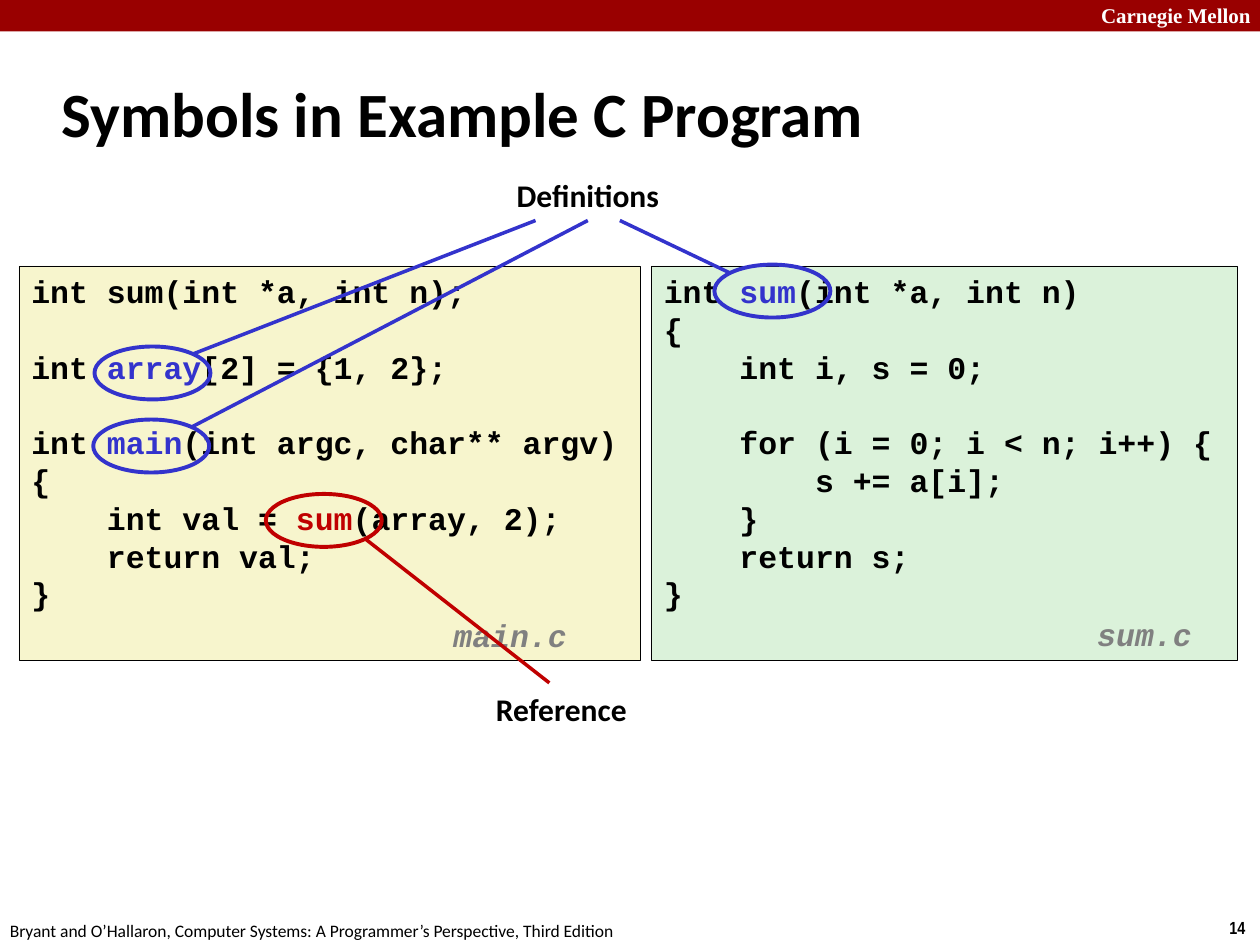
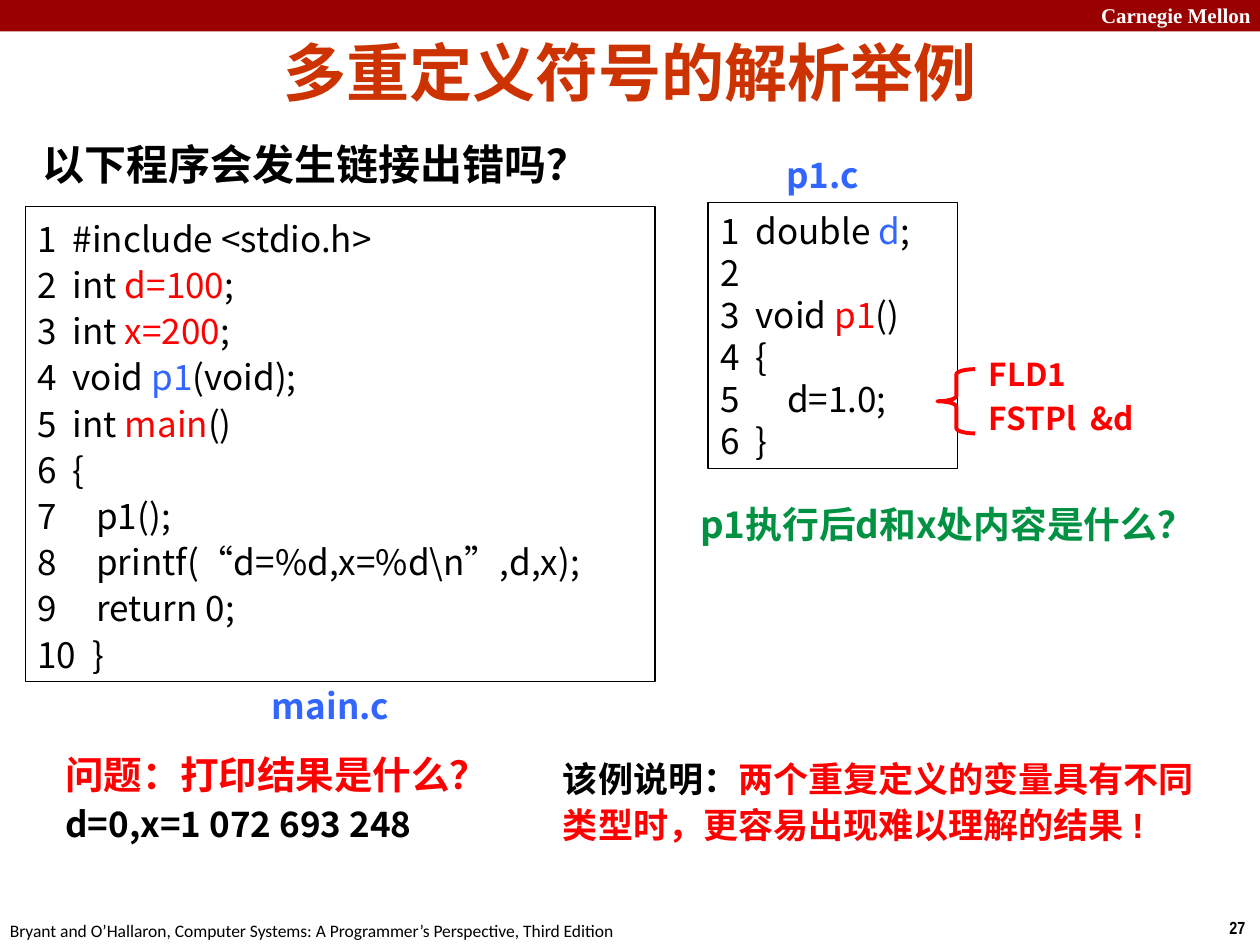
from dataclasses import dataclass, replace
from typing import NamedTuple

import pptx
import pptx.dml.color
import pptx.enum.shapes
import pptx.enum.text
import pptx.oxml
import pptx.oxml.ns
import pptx.oxml.xmlchemy
import pptx.util

SLIDE_WIDTH = pptx.util.Inches(10)
SLIDE_HEIGHT = pptx.util.Inches(7.5)
COLUMNS, ROWS = 100, 75
COLUMN, ROW = SLIDE_WIDTH / COLUMNS, SLIDE_HEIGHT / ROWS
LEADING = 1.2
CJK_FONT = "Noto Sans CJK SC"
COLORS = {
    "black": "000000", "white": "FFFFFF", "band": "990000",
    "definition": "3333CC", "reference": "C00000", "file": "808080",
    "cream": "F7F5CD", "mint": "DBF2DA",
    "title": "CC3300", "blue": "3366FF", "red": "FF0000", "green": "009242",
}
ALIGN = pptx.enum.text.PP_ALIGN
ANCHOR = pptx.enum.text.MSO_ANCHOR
SHAPE = pptx.enum.shapes.MSO_SHAPE


class Area(NamedTuple):
    """Left, top, width and height in grid columns and rows."""
    left: float
    top: float
    width: float
    height: float

    def lengths(self) -> tuple[int, ...]:
        steps = (COLUMN, ROW, COLUMN, ROW)
        return tuple(round(value * step) for value, step in zip(self, steps))


class Span(NamedTuple):
    text: str
    color: str = ""


@dataclass(frozen=True)
class Style:
    size: float
    font: str
    color: str = "black"
    bold: bool = True
    italic: bool = False
    align: ALIGN = ALIGN.LEFT
    anchor: ANCHOR = ANCHOR.TOP
    spacing: float = 1
    before: float = 0
    wrap: bool = True


class Label(NamedTuple):
    area: Area
    lines: list
    style: Style


class Frame(NamedTuple):
    """A box of code with a thin outline."""
    area: Area
    lines: list
    style: Style
    fill: str
    outline: float


TITLE = Style(36, "Calibri", anchor=ANCHOR.MIDDLE)
CHINESE_TITLE = replace(TITLE, font="Arial", color="title", align=ALIGN.CENTER)
CODE = Style(18, "Courier New")
FILE_NAME = replace(CODE, color="file", italic=True, spacing=0.94)
CALLOUT = Style(18, "Calibri", align=ALIGN.CENTER, wrap=False)
LISTING = Style(20, CJK_FONT, bold=False, anchor=ANCHOR.MIDDLE)
LISTING_NAME = Style(20, CJK_FONT, "blue")
CHINESE = Style(20, "Arial")


def rgb(name: str) -> pptx.dml.color.RGBColor:
    return pptx.dml.color.RGBColor.from_string(COLORS[name])


def write(text_frame, lines: list, style: Style) -> None:
    """Fill a text frame; each line is a string or a list of spans."""
    text_frame.auto_size = pptx.enum.text.MSO_AUTO_SIZE.NONE
    text_frame.word_wrap = style.wrap
    text_frame.vertical_anchor = style.anchor
    for index, line in enumerate(lines):
        para = text_frame.add_paragraph() if index else text_frame.paragraphs[0]
        spans = [Span(line)] if isinstance(line, str) else line
        para.text = spans[0].text
        for span in spans[1:]:
            para.add_run().text = span.text
        para.alignment = style.align
        para.line_spacing = pptx.util.Pt(style.size * LEADING * style.spacing)
        if index and style.before:
            para.space_before = pptx.util.Pt(style.before)
        for run, span in zip(para.runs, spans):
            font = run.font
            font.size, font.name = pptx.util.Pt(style.size), style.font
            font.bold, font.italic = style.bold, style.italic
            font.color.rgb = rgb(span.color or style.color)
            east_asian = pptx.oxml.parse_xml(
                f'<a:ea {pptx.oxml.ns.nsdecls("a")} typeface="{CJK_FONT}"/>')
            font._element.append(east_asian)


def add_label(slide, label: Label):
    box = slide.shapes.add_textbox(*label.area.lengths())
    write(box.text_frame, label.lines, label.style)
    return box


def add_preset(slide, kind: SHAPE, area: Area, fill: str = "",
               line: str = "", width: float = 0):
    shape = slide.shapes.add_shape(kind, *area.lengths())
    shape.shadow.inherit = False
    if fill:
        shape.fill.solid()
        shape.fill.fore_color.rgb = rgb(fill)
    else:
        shape.fill.background()
    if line:
        shape.line.color.rgb = rgb(line)
        shape.line.width = pptx.util.Pt(width)
    else:
        shape.line.fill.background()
    return shape


def add_frame(slide, frame: Frame) -> None:
    shape = add_preset(slide, SHAPE.RECTANGLE, frame.area, frame.fill,
                       "black", frame.outline)
    write(shape.text_frame, frame.lines, frame.style)


def add_pointer(slide, start: tuple, end: tuple, color: str):
    ends = [round(value * step) for value, step in
            zip((*start, *end), (COLUMN, ROW, COLUMN, ROW))]
    pointer = slide.shapes.add_connector(
        pptx.enum.shapes.MSO_CONNECTOR.STRAIGHT, *ends)
    pointer.line.color.rgb = rgb(color)
    pointer.line.width = pptx.util.Pt(2)
    pointer._element.spPr.append(
        pptx.oxml.parse_xml(f'<a:effectLst {pptx.oxml.ns.nsdecls("a")}/>'))
    return pointer


def add_page(deck, title: str, area: Area, style: Style, number: int):
    """Add a slide with the title, top band, footer and page number."""
    page = deck.slides.add_slide(deck.slide_layouts[5])
    add_preset(page, SHAPE.RECTANGLE, Area(0, 0, COLUMNS, 2.5), "band")
    for label in (
        Label(Area(86.4, -0.3, 14.3, 3), ["Carnegie Mellon"],
              Style(12, "Times New Roman", "white")),
        Label(Area(96.6, 72.3, 3.4, 2.7), [str(number)],
              Style(10, "Arial Narrow", wrap=False)),
        Label(Area(-0.2, 72.5, 50.8, 2.7),
              ["Bryant and O’Hallaron, Computer Systems: "
               "A Programmer’s Perspective, Third Edition"],
              Style(10, "Calibri", bold=False)),
    ):
        add_label(page, label)
    heading = page.shapes.title
    heading.left, heading.top, heading.width, heading.height = area.lengths()
    write(heading.text_frame, [title], style)
    return page


def build_symbols(deck) -> None:
    page = add_page(deck, "Symbols in Example C Program",
                    Area(3.9, 4.8, 83, 8.3), TITLE, 14)
    code_top, code_height = 21.1, 31.3
    main_code = [
        "int sum(int *a, int n);",
        "",
        [Span("int "), Span("array", "definition"), Span("[2] = {1, 2};")],
        "",
        [Span("int "), Span("main", "definition"),
         Span("(int argc, char** argv)")],
        "{",
        [Span("    int val = "), Span("sum", "reference"),
         Span("(array, 2);")],
        "    return val;",
        "}",
    ]
    sum_code = [
        [Span("int "), Span("sum", "definition"), Span("(int *a, int n)")],
        "{",
        "    int i, s = 0;",
        "",
        "    for (i = 0; i < n; i++) {",
        "        s += a[i];",
        "    }",
        "    return s;",
        "}",
    ]
    add_frame(page, Frame(Area(1.5, code_top, 49.3, code_height),
                          main_code, CODE, "cream", 0.25))
    add_frame(page, Frame(Area(51.7, code_top, 46.5, code_height),
                          sum_code, CODE, "mint", 0.25))
    add_label(page, Label(Area(35, 48.6, 11.7, 3.9), ["main.c"], FILE_NAME))
    add_label(page, Label(Area(86.1, 48.5, 10.2, 3.9), ["sum.c"], FILE_NAME))

    for left, top, color in ((7.5, 27.5, "definition"),
                             (7.4, 33.3, "definition"),
                             (56.7, 21, "definition"),
                             (21.1, 39.2, "reference")):
        add_preset(page, SHAPE.OVAL, Area(left, top, 9.2, 4.2),
                   line=color, width=2.25)

    definitions = add_label(
        page, Label(Area(39.9, 13.5, 13.5, 4), ["Definitions"], CALLOUT))
    add_label(page, Label(Area(38.2, 54.3, 12.7, 4), ["Reference"], CALLOUT))
    label_bottom = 17.5
    add_pointer(page, (15.3, 28.1), (42.5, label_bottom), "definition")
    main_pointer = add_pointer(page, (15.2, 33.9), (46.7, label_bottom),
                               "definition")
    main_pointer.end_connect(definitions, 2)
    add_pointer(page, (58, 21.7), (49.2, label_bottom), "definition")
    add_pointer(page, (28.9, 42.7), (43.6, 54.2), "reference")


def build_resolution(deck) -> None:
    page = add_page(deck, "多重定义符号的解析举例",
                    Area(5, 2.6, 90, 6.1), CHINESE_TITLE, 27)
    main_listing = [
        "1  #include <stdio.h>",
        [Span("2  int "), Span("d=100", "red"), Span(";")],
        [Span("3  int "), Span("x=200", "red"), Span(";")],
        [Span("4  void "), Span("p1", "blue"), Span("(void);")],
        [Span("5  int "), Span("main", "red"), Span("()")],
        "6  {",
        "7     p1();",
        r"8     printf(“d=%d,x=%d\n”,d,x);",
        "9     return 0;",
        "10  }",
    ]
    p1_listing = [
        [Span("1  double "), Span("d", "blue"), Span(";")],
        "2",
        [Span("3  void "), Span("p1", "red"), Span("()")],
        "4  {",
        "5      d=1.0;",
        "6  }",
    ]
    add_frame(page, Frame(Area(2, 16.4, 50, 37.7), main_listing,
                          replace(LISTING, spacing=1.1), "", 0.75))
    add_frame(page, Frame(Area(56.2, 16.1, 19.8, 21.1), p1_listing,
                          LISTING, "", 0.75))
    for label in (
        Label(Area(61.4, 11.7, 8.6, 4.3), ["p1.c"], LISTING_NAME),
        Label(Area(20.6, 53.8, 13.2, 4.3), ["main.c"], LISTING_NAME),
        Label(Area(2.4, 10.5, 47.3, 5), ["以下程序会发生链接出错吗？"],
              replace(CHINESE, size=24)),
        Label(Area(4.2, 59.1, 38, 4.7), ["问题：打印结果是什么？"],
              replace(CHINESE, size=22, color="red")),
        Label(Area(4.2, 63.2, 38, 4.3), ["d=0,x=1 072 693 248"],
              replace(LISTING_NAME, color="black")),
        Label(Area(43.7, 59.3, 52.6, 8.3),
              [[Span("该例说明："),
                Span("两个重复定义的变量具有不同类型时，"
                     "更容易出现难以理解的结果 !", "red")]],
              replace(CHINESE, anchor=ANCHOR.MIDDLE, spacing=1.1)),
        Label(Area(54.6, 39.3, 44, 4.5), ["p1执行后d和x处内容是什么？"],
              Style(21, CJK_FONT, "green")),
        Label(Area(77.5, 27.7, 16.2, 7.6), ["FLD1", "FSTPl  &d"],
              Style(18, CJK_FONT, "red", before=3.6)),
    ):
        add_label(page, label)
    brace = add_preset(page, SHAPE.LEFT_BRACE, Area(74.4, 29.3, 3, 5.1),
                       line="red", width=2.25)
    brace.adjustments[0], brace.adjustments[1] = 0.14, 0.5


def main() -> None:
    deck = pptx.Presentation()
    deck.slide_width, deck.slide_height = SLIDE_WIDTH, SLIDE_HEIGHT
    build_symbols(deck)
    build_resolution(deck)
    deck.save("out.pptx")


if __name__ == "__main__":
    main()
